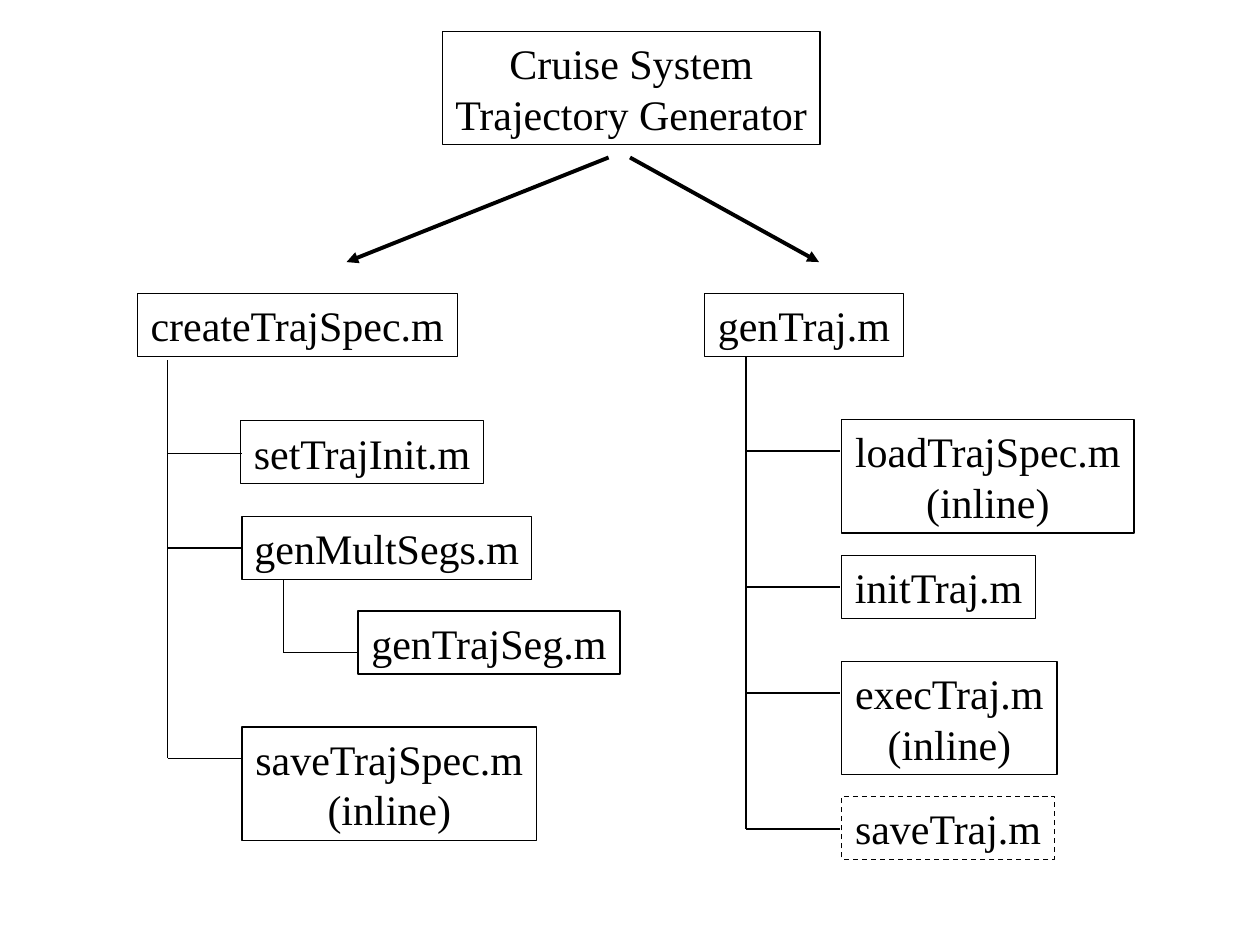
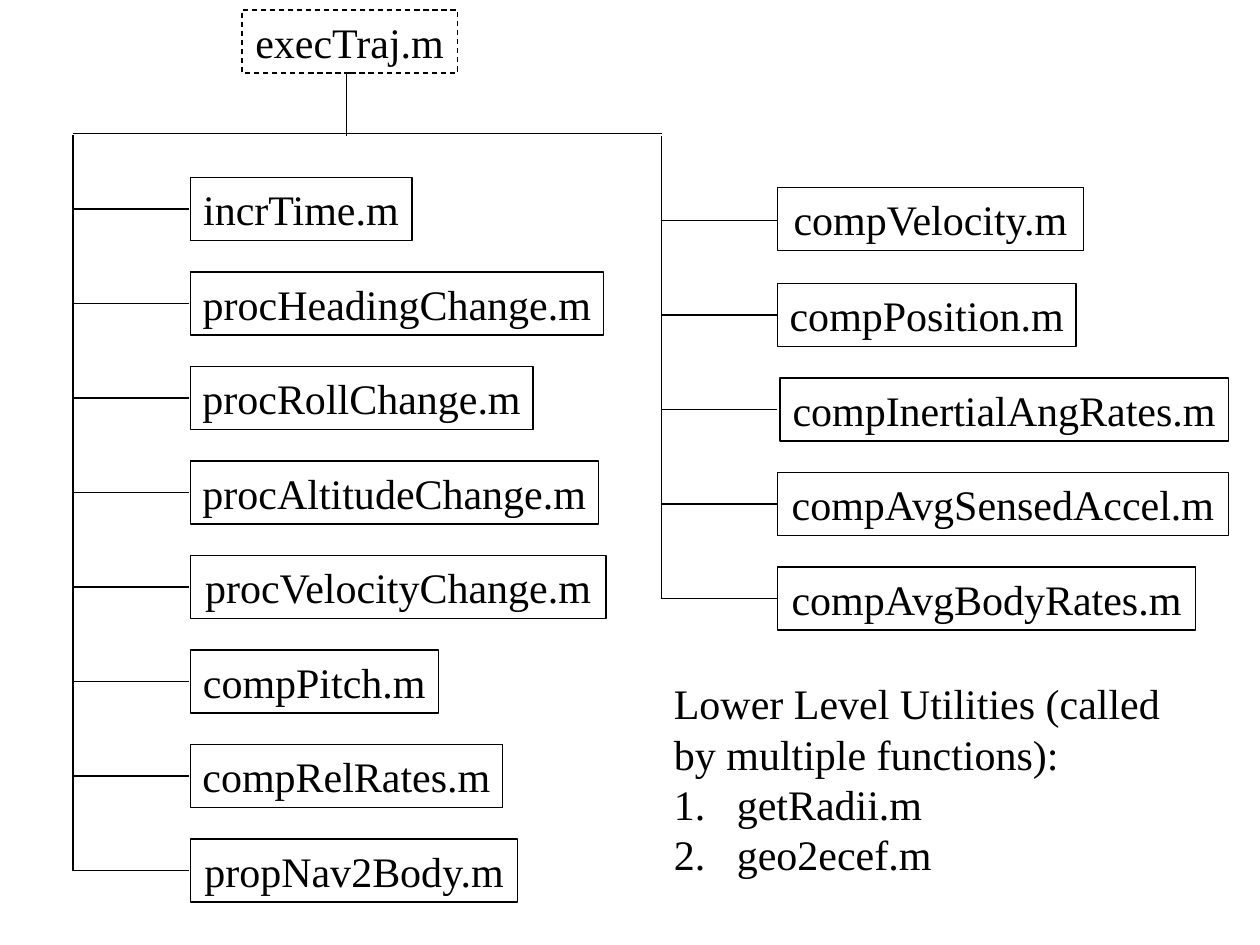
from lxml.etree import SubElement as Sub
from pptx import Presentation
from pptx.dml.color import RGBColor
from pptx.enum.dml import MSO_LINE as Dash
from pptx.enum.shapes import MSO_CONNECTOR as Link, MSO_SHAPE as Shape
from pptx.enum.text import MSO_ANCHOR as Anchor, MSO_AUTO_SIZE as Auto, PP_ALIGN as Align
from pptx.oxml.ns import qn
from pptx.util import Pt

BLACK = RGBColor(0x00, 0x00, 0x00)
SCALE = 9144
FONT = "Times New Roman"
STEP = 75


def px(n):
    return n * SCALE


def write(frame, text, size=24, color=BLACK, align=Align.LEFT, wrap=False, side=10, hang=0, count=0):
    frame.word_wrap = wrap
    frame.auto_size = Auto.NONE
    frame.vertical_anchor = Anchor.TOP
    frame.margin_left = frame.margin_right = px(side)
    frame.margin_top = frame.margin_bottom = px(5)
    lines = text.split("\n")
    for i, line in enumerate(lines):
        para = frame.paragraphs[0] if i == 0 else frame.add_paragraph()
        para.alignment = align
        if hang:
            props = para._p.get_or_add_pPr()
            props.set("marL", str(px(hang)))
            props.set("indent", str(-px(hang)))
            if i >= len(lines) - count:
                Sub(props, qn("a:buAutoNum"), type="arabicPeriod")
        run = para.add_run()
        run.text = line
        run.font.size = Pt(size)
        run.font.name = FONT
        run.font.color.rgb = color


class Chart:
    def __init__(self):
        self.deck = Presentation()
        self.deck.slide_width = px(1000)
        self.deck.slide_height = px(750)
        self.slide = None

    def page(self):
        self.slide = self.deck.slides.add_slide(self.deck.slide_layouts[6])

    def stroke(self, item, width=0.75):
        item.line.color.rgb = BLACK
        item.line.width = Pt(width)

    def box(self, text, x, y, w, dashed=False):
        high = 50 + 40 * text.count("\n")
        item = self.slide.shapes.add_shape(Shape.RECTANGLE, px(x), px(y), px(w), px(high))
        item.shadow.inherit = False
        item.fill.background()
        self.stroke(item)
        if dashed:
            item.line.dash_style = Dash.DASH
        write(item.text_frame, text, align=Align.CENTER, side=8)

    def note(self, text, x, y, w, h, **form):
        item = self.slide.shapes.add_textbox(px(x), px(y), px(w), px(h))
        write(item.text_frame, text, **form)

    def line(self, x1, y1, x2, y2, width=0.75, arrow=False):
        item = self.slide.shapes.add_connector(Link.STRAIGHT, px(x1), px(y1), px(x2), px(y2))
        self.stroke(item, width)
        props = item._element.spPr
        if arrow:
            Sub(props.find(qn("a:ln")), qn("a:tailEnd"), type="triangle")
        Sub(props, qn("a:effectLst"))

    def tree(self, x, top, right, rungs):
        self.line(x, top, x, rungs[-1])
        for y in rungs:
            self.line(x, y, right, y)

    def stack(self, x, top, items, nudge=None):
        for i, (text, w) in enumerate(items):
            dx, dy = (nudge or {}).get(text, (0, 0))
            self.box(text, x + dx, top + i * STEP + dy, w)
        return [top + 25 + i * STEP for i in range(len(items))]


def draw_files(chart):
    chart.page()
    chart.box("Cruise System\nTrajectory Generator", 351, 25, 300)
    for x, end in ((483, 275), (500, 650)):
        chart.line(x, 125, end, 208, width=2.25, arrow=True)
    for text, x, y, w in (
        ("createTrajSpec.m", 109, 233, 254),
        ("setTrajInit.m", 191, 334, 193),
        ("genMultSegs.m", 192, 410, 230),
        ("genTrajSeg.m", 284, 485, 208),
        ("saveTrajSpec.m\n(inline)", 192, 577, 234),
        ("genTraj.m", 559, 233, 158),
        ("loadTrajSpec.m\n(inline)", 668, 333, 232),
        ("initTraj.m", 668, 441, 154),
        ("execTraj.m\n(inline)", 668, 525, 171),
    ):
        chart.box(text, x, y, w)
    chart.box("saveTraj.m", 668, 632, 169, dashed=True)
    chart.tree(133, 286, 192, (360, 435, 602))
    chart.tree(225, 460, 283, (518,))
    chart.tree(592, 283, 667, (358, 466, 550, 658))


def draw_calls(chart):
    chart.page()
    chart.box("execTraj.m", 192, 8, 171, dashed=True)
    chart.line(275, 58, 275, 108)
    chart.line(58, 106, 525, 106)
    rungs = chart.stack(151, 141, (
        ("incrTime.m", 176),
        ("procHeadingChange.m", 328),
        ("procRollChange.m", 272),
        ("procAltitudeChange.m", 324),
        ("procVelocityChange.m", 330),
        ("compPitch.m", 197),
        ("compRelRates.m", 248),
        ("propNav2Body.m", 260),
    ))
    chart.tree(58, 107, 150, rungs)
    rungs = chart.stack(617, 150, (
        ("compVelocity.m", 243),
        ("compPosition.m", 237),
        ("compInertialAngRates.m", 356),
        ("compAvgSensedAccel.m", 358),
        ("compAvgBodyRates.m", 332),
    ), nudge={"compVelocity.m": (0, -1), "compInertialAngRates.m": (2, 0)})
    chart.tree(525, 108, 617, rungs)
    chart.note(
        "Lower Level Utilities (called\nby multiple functions):\ngetRadii.m\ngeo2ecef.m",
        525, 533, 506, 170, wrap=True, hang=50, count=2,
    )


def main():
    chart = Chart()
    draw_files(chart)
    draw_calls(chart)
    chart.deck.save("out.pptx")


if __name__ == "__main__":
    main()
